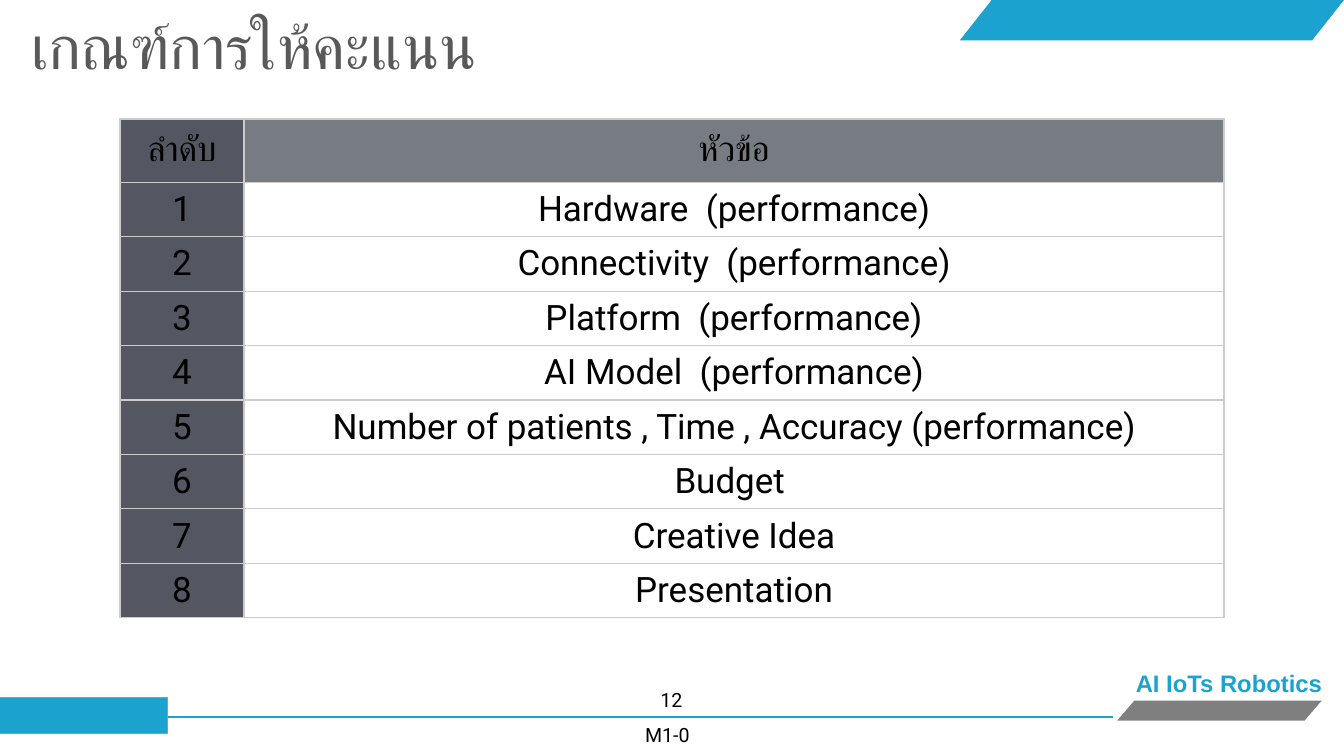
import pptx
import pptx.util
import pptx.dml.color
import pptx.enum.shapes
import pptx.enum.text
import pptx.oxml
import pptx.oxml.ns

Inches, Pt = pptx.util.Inches, pptx.util.Pt
RGBColor = pptx.dml.color.RGBColor
Shape = pptx.enum.shapes.MSO_SHAPE
Anchor = pptx.enum.text.MSO_ANCHOR
Align = pptx.enum.text.PP_ALIGN
AutoSize = pptx.enum.text.MSO_AUTO_SIZE

# Content
TITLE = "เกณฑ์การให้คะแนน"
HEADER = ("ลำดับ", "หัวข้อ")
CRITERIA = [
    "Hardware  (performance)",
    "Connectivity  (performance)",
    "Platform  (performance)",
    "AI Model  (performance)",
    "Number of patients , Time , Accuracy (performance)",
    "Budget ",
    "Creative Idea",
    "Presentation",
]

BLUE = RGBColor(0x1B, 0xA2, 0xCE)
BRIGHT_BLUE = RGBColor(0x37, 0xB6, 0xFF)
GRAY = RGBColor(0x7F, 0x7F, 0x7F)
TITLE_GRAY = RGBColor(0x59, 0x59, 0x59)
HEADER_GRAY = RGBColor(0x77, 0x7C, 0x83)
NUMBER_GRAY = RGBColor(0x54, 0x57, 0x61)
BORDER = "CBCBCB"
BLACK = RGBColor(0, 0, 0)

# preset, (left, top, width, height), slant, fill, outline
BANDS = [
    (Shape.PARALLELOGRAM, (11.08, 6.95, 2.03, 0.2), 0.857, GRAY, None),
    (Shape.RECTANGLE, (0, 6.92, 1.66, 0.36), None, BLUE, BRIGHT_BLUE),
    (Shape.PARALLELOGRAM, (9.52, 0, 3.81, 0.4), 0.789, BLUE, None),
]
FOOTER_FONT = {"name": "Roboto", "size": Pt(14), "bold": False}
BRAND_FONT = {"name": "Arial", "size": Pt(17), "bold": True}
TABLE_FONT = {"name": "Roboto", "size": Pt(25), "bold": False}
TITLE_FONT = {"name": "Arial", "size": Pt(44), "bold": False}
# text, (left, top, width, height), anchor, font, colour
LABELS = [
    ("M1-0", (6.19, 7.14, 0.86, 0.3), Anchor.MIDDLE, FOOTER_FONT, BLACK),
    ("12", (6.23, 6.78, 0.86, 0.32), Anchor.MIDDLE, FOOTER_FONT, BLACK),
    ("AI IoTs Robotics", (11.01, 6.58, 2.36, 0.39), Anchor.TOP, BRAND_FONT, BLUE),
]


def write(frame, text, font, color, align):
    paragraph = frame.paragraphs[0]
    paragraph.alignment = align
    run = paragraph.add_run()
    run.text = text
    for key, value in font.items():
        setattr(run.font, key, value)
    run.font.color.rgb = color


def set_borders(cell):
    properties = cell._tc.get_or_add_tcPr()
    for index, side in enumerate(("lnL", "lnR", "lnT", "lnB")):
        properties.insert(index, pptx.oxml.parse_xml(
            f'<a:{side} {pptx.oxml.ns.nsdecls("a")} w="12700"><a:solidFill>'
            f'<a:srgbClr val="{BORDER}"/></a:solidFill></a:{side}>'))


def add_band(slide, preset, box, slant, fill, outline):
    band = slide.shapes.add_shape(preset, *map(Inches, box))
    band.shadow.inherit = False
    if slant is not None:
        band.adjustments[0] = slant
    band.fill.solid()
    band.fill.fore_color.rgb = fill
    if outline is None:
        band.line.fill.background()
    else:
        band.line.color.rgb = outline
        band.line.width = Pt(0.75)


def add_criteria_table(slide):
    rows = [HEADER] + [(str(n), name) for n, name in enumerate(CRITERIA, 1)]
    widths = (1.23, 9.72)
    heights = [0.63] + [0.54] * len(CRITERIA)
    frame = slide.shapes.add_table(
        len(rows), len(HEADER), Inches(1.19), Inches(1.18),
        Inches(sum(widths)), Inches(sum(heights)))
    table = frame.table
    for column, width in zip(table.columns, widths):
        column.width = Inches(width)
    for r, (row, height) in enumerate(zip(rows, heights)):
        table.rows[r].height = Inches(height)
        for c, text in enumerate(row):
            cell = table.cell(r, c)
            cell.vertical_anchor = Anchor.MIDDLE
            for side in ("left", "right", "top", "bottom"):
                setattr(cell, f"margin_{side}", Inches(0.03))
            if c == 0 or r == 0:
                cell.fill.solid()
                cell.fill.fore_color.rgb = NUMBER_GRAY if c == 0 else HEADER_GRAY
            else:
                cell.fill.background()
            set_borders(cell)
            write(cell.text_frame, text, TABLE_FONT, BLACK, Align.CENTER)


def main():
    deck = pptx.Presentation()
    deck.slide_width, deck.slide_height = Inches(13.33), Inches(7.5)
    slide = deck.slides.add_slide(deck.slide_layouts[5])

    # Title
    title = slide.shapes.title
    title.left, title.top = Inches(0.21), Inches(0.03)
    title.width, title.height = Inches(8.98), Inches(0.84)
    title.text_frame.auto_size = AutoSize.NONE
    title.text_frame.vertical_anchor = Anchor.TOP
    write(title.text_frame, TITLE, TITLE_FONT, TITLE_GRAY, Align.LEFT)

    # Footer rule and coloured bands
    rule = slide.shapes.add_connector(
        pptx.enum.shapes.MSO_CONNECTOR.STRAIGHT,
        Inches(0), Inches(7.11), Inches(11.04), Inches(7.11))
    rule.line.color.rgb = BLUE
    rule.line.width = Pt(1.5)
    rule._element.spPr.append(pptx.oxml.parse_xml(
        f'<a:effectLst {pptx.oxml.ns.nsdecls("a")}/>'))
    for band in BANDS:
        add_band(slide, *band)

    # Footer labels
    for text, box, anchor, font, color in LABELS:
        label = slide.shapes.add_textbox(*map(Inches, box)).text_frame
        label.word_wrap = True
        label.vertical_anchor = anchor
        write(label, text, font, color, Align.CENTER)

    # Scoring criteria
    add_criteria_table(slide)
    deck.save("out.pptx")


if __name__ == "__main__":
    main()
